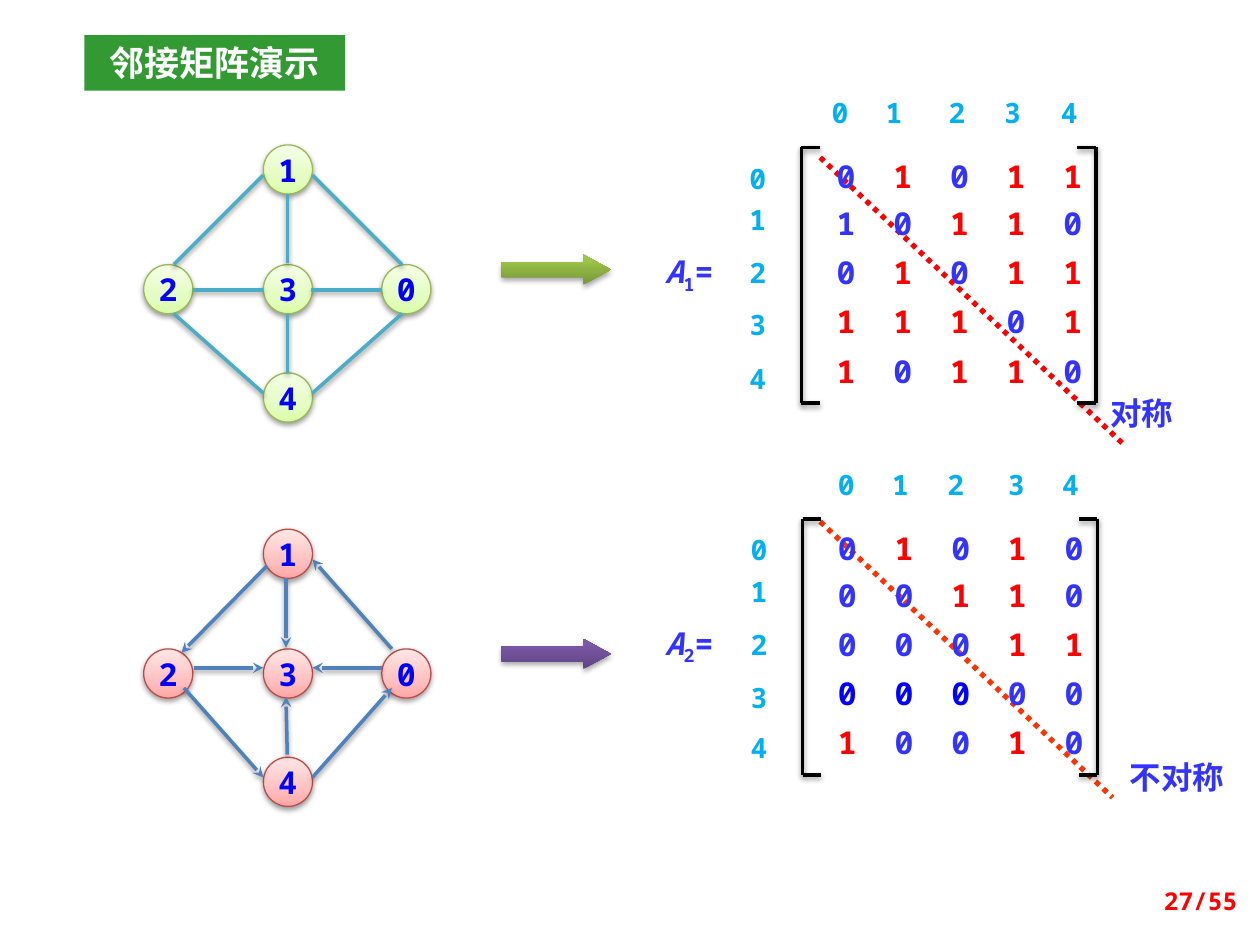
"""Build a slide comparing adjacency matrices of an undirected and a directed graph."""
from dataclasses import dataclass

import lxml.etree
import pptx
import pptx.dml.color
import pptx.enum.dml
import pptx.enum.shapes
import pptx.enum.text
import pptx.oxml.ns
import pptx.slide
import pptx.util

Inches = pptx.util.Inches
qn = pptx.oxml.ns.qn
ALIGN = pptx.enum.text.PP_ALIGN
ANCHOR = pptx.enum.text.MSO_ANCHOR
SHAPE = pptx.enum.shapes.MSO_SHAPE
MONO = "Noto Sans Mono"
CJK = "Noto Sans CJK SC"
COLORS = {
    "r": "FF0000", "b": "3333FF", "d": "0000FF", "index": "00B0F0",
    "white": "FFFFFF", "black": "000000", "banner": "339933", "orange": "FF3300",
    "green_edge": "4BACC6", "red_edge": "4F81BD",
    "green_rim": "98B955", "red_rim": "BF4C48",
}
GRADIENTS = {
    "green_node": ((0, "DAFDA7"), (35, "E4FCC2"), (100, "F5FFE7")),
    "red_node": ((0, "FFA6A5"), (35, "FFC0BF"), (100, "FFE7E7")),
    "green_arrow": ((0, "779737"), (80, "9BC348"), (100, "9DC746")),
    "purple_arrow": ((0, "5F4480"), (80, "7B58A6"), (100, "7C57A8")),
}
NODE_SIZE = 0.39
NODES = {"1": (2.09, 0), "3": (2.09, 0.95), "2": (1.14, 0.95), "0": (3.03, 0.95), "4": (2.09, 1.81)}


@dataclass
class Run:
    text: str
    color: str
    italic: bool = False
    baseline: int = 0


@dataclass
class Graph:
    top: float
    kind: str
    arrow: str
    directed: bool
    edges: list[tuple[float, float, float, float]]


@dataclass
class Matrix:
    name: str
    left: float
    top: float
    rows: list[tuple[str, str]]
    label_tops: list[float]
    header_left: float
    header_stops: list[float]
    diagonal: tuple[float, float, float, float]
    diagonal_color: str
    verdict: str
    verdict_box: tuple[float, float, float, float]


GRAPHS = [
    Graph(1.15, "green", "green_arrow", False, [
        (2.09, 1.39, 1.38, 2.1), (2.48, 1.39, 3.19, 2.1), (1.53, 2.3, 2.09, 2.3),
        (2.47, 2.3, 3.03, 2.3), (2.28, 1.54, 2.28, 2.09), (1.38, 2.49, 2.09, 3.12),
        (2.28, 2.49, 2.28, 2.96), (3.19, 2.49, 2.48, 3.12)]),
    Graph(4.2, "red", "purple_arrow", True, [
        (2.12, 4.49, 1.44, 5.18), (2.27, 4.59, 2.27, 5.14), (3.11, 5.15, 2.48, 4.44),
        (1.54, 5.3, 2.09, 5.3), (3.03, 5.3, 2.48, 5.3), (2.28, 5.99, 2.27, 5.53),
        (2.48, 6.17, 3.11, 5.46), (1.46, 5.46, 2.09, 6.17)]),
]
MATRICES = [
    Matrix("1", 6.36, 1.17,
           [("01011", "brbrr"), ("10110", "bbrrb"), ("01011", "brbrr"),
            ("11101", "rrrbr"), ("10110", "rbrrb")],
           [0.11, 0.44, 0.86, 1.27, 1.7], 6.6, [0.43, 0.93, 1.37, 1.82],
           (6.51, 1.25, 8.91, 3.52), "r", "对称", (8.59, 3.08, 0.94, 0.4)),
    Matrix("2", 6.37, 4.12,
           [("01010", "brbrb"), ("00110", "bbrrb"), ("00011", "bbbrr"),
            ("00000", "dddbb"), ("10010", "rbbrb")],
           [0.11, 0.44, 0.86, 1.28, 1.68], 6.65, [0.43, 0.87, 1.35, 1.78],
           (6.51, 4.14, 8.83, 6.33), "orange", "不对称", (8.75, 5.97, 1.18, 0.4)),
]


def rgb(name: str) -> pptx.dml.color.RGBColor:
    """Return a named colour."""
    return pptx.dml.color.RGBColor.from_string(COLORS[name])


def cast_shadow(effects, alpha: int = 38, distance: float = 1.6) -> None:
    """Put a soft downward shadow into an effect list."""
    outer = lxml.etree.SubElement(effects, qn("a:outerShdw"), blurRad=str(pptx.util.Pt(3.1)),
                                  dist=str(pptx.util.Pt(distance)), dir="5400000", rotWithShape="0")
    tint = lxml.etree.SubElement(outer, qn("a:srgbClr"), val=COLORS["black"])
    lxml.etree.SubElement(tint, qn("a:alpha"), val=str(alpha * 1000))


def write(shape, runs: list[Run], *, size: float = 18, font: str = MONO, align=ALIGN.CENTER,
          anchor=ANCHOR.TOP, wrap: bool = True, inset: tuple[float, float] = (0.1, 0.05),
          stops: tuple[float, ...] = ()) -> None:
    """Write one formatted bold paragraph into a shape."""
    frame = shape.text_frame
    frame.word_wrap = wrap
    frame.vertical_anchor = anchor
    frame.margin_left = frame.margin_right = Inches(inset[0])
    frame.margin_top = Inches(inset[1])
    frame.margin_bottom = Inches(0.05 if inset[0] else 0)
    paragraph = frame.paragraphs[0]
    paragraph.alignment = align
    if stops:
        tabs = lxml.etree.SubElement(paragraph._p.get_or_add_pPr(), qn("a:tabLst"))
        for stop in stops:
            lxml.etree.SubElement(tabs, qn("a:tab"), pos=str(Inches(stop)), algn="l")
    for item in runs:
        run = paragraph.add_run()
        run.text = item.text
        run.font.size = pptx.util.Pt(size)
        run.font.bold = True
        run.font.italic = item.italic
        run.font.color.rgb = rgb(item.color)
        run.font.name = font
        properties = run._r.get_or_add_rPr()
        lxml.etree.SubElement(properties, qn("a:ea"), typeface=font)
        if item.baseline:
            properties.set("baseline", str(item.baseline * 1000))


def add_text(slide: pptx.slide.Slide, box: tuple[float, ...], runs: list[Run], **style) -> None:
    """Add a text box."""
    write(slide.shapes.add_textbox(*map(Inches, box)), runs, **style)


def add_shape(slide: pptx.slide.Slide, preset, box: tuple[float, ...], gradient: str = ""):
    """Add an outline-free shape, optionally with a vertical gradient."""
    shape = slide.shapes.add_shape(preset, *map(Inches, box))
    shape.shadow.inherit = False
    shape.line.fill.background()
    if gradient:
        shape.fill.gradient()
        shape.fill.gradient_angle = 90
        stop_list = shape._element.spPr.find(".//" + qn("a:gsLst"))
        stop_list[:] = []
        for position, color in GRADIENTS[gradient]:
            stop = lxml.etree.SubElement(stop_list, qn("a:gs"), pos=str(position * 1000))
            lxml.etree.SubElement(stop, qn("a:srgbClr"), val=color)
    return shape


def add_line(slide: pptx.slide.Slide, ends: tuple[float, ...], color: str, *, width: float = 2,
             dotted: bool = False, arrow: bool = False) -> None:
    """Add a straight line; solid lines cast a shadow."""
    line = slide.shapes.add_connector(pptx.enum.shapes.MSO_CONNECTOR.STRAIGHT, *map(Inches, ends))
    line.line.color.rgb = rgb(color)
    line.line.width = pptx.util.Pt(width)
    if dotted:
        line.line.dash_style = pptx.enum.dml.MSO_LINE.ROUND_DOT
    properties = line._element.spPr
    if arrow:
        lxml.etree.SubElement(properties.find(qn("a:ln")), qn("a:tailEnd"), type="stealth")
    effects = lxml.etree.SubElement(properties, qn("a:effectLst"))
    if not dotted:
        cast_shadow(effects)


def draw_graph(slide: pptx.slide.Slide, graph: Graph) -> None:
    """Draw a graph and the block arrow leading to its matrix."""
    pointer = add_shape(slide, SHAPE.RIGHT_ARROW, (3.98, graph.top + 0.87, 0.87, 0.24), graph.arrow)
    pointer.adjustments[1] = 0.917
    cast_shadow(pointer._element.spPr.find(qn("a:effectLst")), 35, 1.8)
    for number, (left, offset) in NODES.items():
        node = add_shape(slide, SHAPE.OVAL, (left, graph.top + offset, NODE_SIZE, NODE_SIZE),
                         f"{graph.kind}_node")
        node.line.color.rgb = rgb(f"{graph.kind}_rim")
        node.line.width = pptx.util.Pt(0.75)
        cast_shadow(node._element.spPr.find(qn("a:effectLst")))
        write(node, [Run(number, "d")], anchor=ANCHOR.MIDDLE, wrap=False)
    for ends in graph.edges:
        add_line(slide, ends, f"{graph.kind}_edge", arrow=graph.directed)


def draw_matrix(slide: pptx.slide.Slide, matrix: Matrix) -> None:
    """Draw a bracketed matrix with its indices, diagonal and verdict."""
    left, top = matrix.left, matrix.top
    right, bottom = left + 2.34, top + 2.03
    add_line(slide, matrix.diagonal, matrix.diagonal_color, width=3, dotted=True)
    add_text(slide, matrix.verdict_box, [Run(matrix.verdict, "b")], font=CJK)
    add_text(slide, (5.08, top + 0.78, 0.78, 0.4),
             [Run("A", "b", italic=True), Run(matrix.name, "b", baseline=-25), Run("=", "b")])
    for index, (digits, colors) in enumerate(matrix.rows):
        row_top = top + (0.08 if index == 0 else 0.06 + 0.39 * index)
        cells = [Run("\t" * (column > 0) + digit, color)
                 for column, (digit, color) in enumerate(zip(digits, colors))]
        add_text(slide, (left + 0.28, row_top, 1.97, 0.3), cells, align=ALIGN.LEFT,
                 inset=(0, 0), stops=(0.45, 0.9, 1.35, 1.8))
        add_text(slide, (left - 0.58, top + matrix.label_tops[index], 0.47, 0.27),
                 [Run(str(index), "index")], size=16, inset=(0, 0))
    for upright, tip in ((left, left + 0.15), (right, right - 0.15)):
        add_line(slide, (upright, top, upright, bottom), "black")
        for level in (top, bottom):
            add_line(slide, (upright, level, tip, level), "black")
    add_text(slide, (matrix.header_left, top - 0.47, 2.1, 0.34), [Run("0\t1\t2\t3\t4", "index")],
             size=16, align=ALIGN.LEFT, inset=(0, 0.06), stops=tuple(matrix.header_stops))


def main() -> None:
    """Build and save the slide."""
    deck = pptx.Presentation()
    deck.slide_width, deck.slide_height = Inches(10), Inches(7.5)
    slide = deck.slides.add_slide(deck.slide_layouts[6])
    for graph in GRAPHS:
        draw_graph(slide, graph)
    banner = add_shape(slide, SHAPE.RECTANGLE, (0.67, 0.28, 2.07, 0.44))
    banner.fill.solid()
    banner.fill.fore_color.rgb = rgb("banner")
    write(banner, [Run("邻接矩阵演示", "white")], size=20, font=CJK)
    for matrix in MATRICES:
        draw_matrix(slide, matrix)
    add_text(slide, (7.59, 6.95, 2.33, 0.4), [Run("27/55", "r")], size=14,
             align=ALIGN.RIGHT, anchor=ANCHOR.MIDDLE)
    deck.save("out.pptx")


if __name__ == "__main__":
    main()
